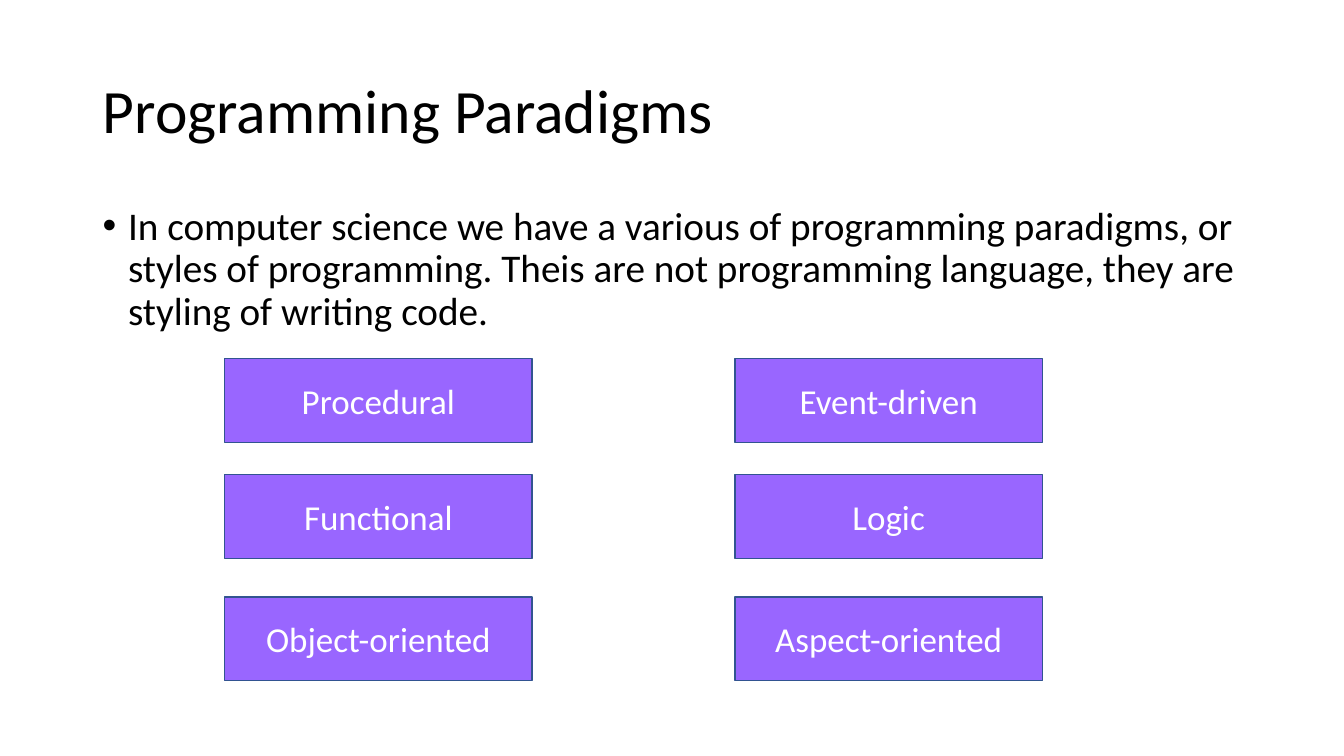
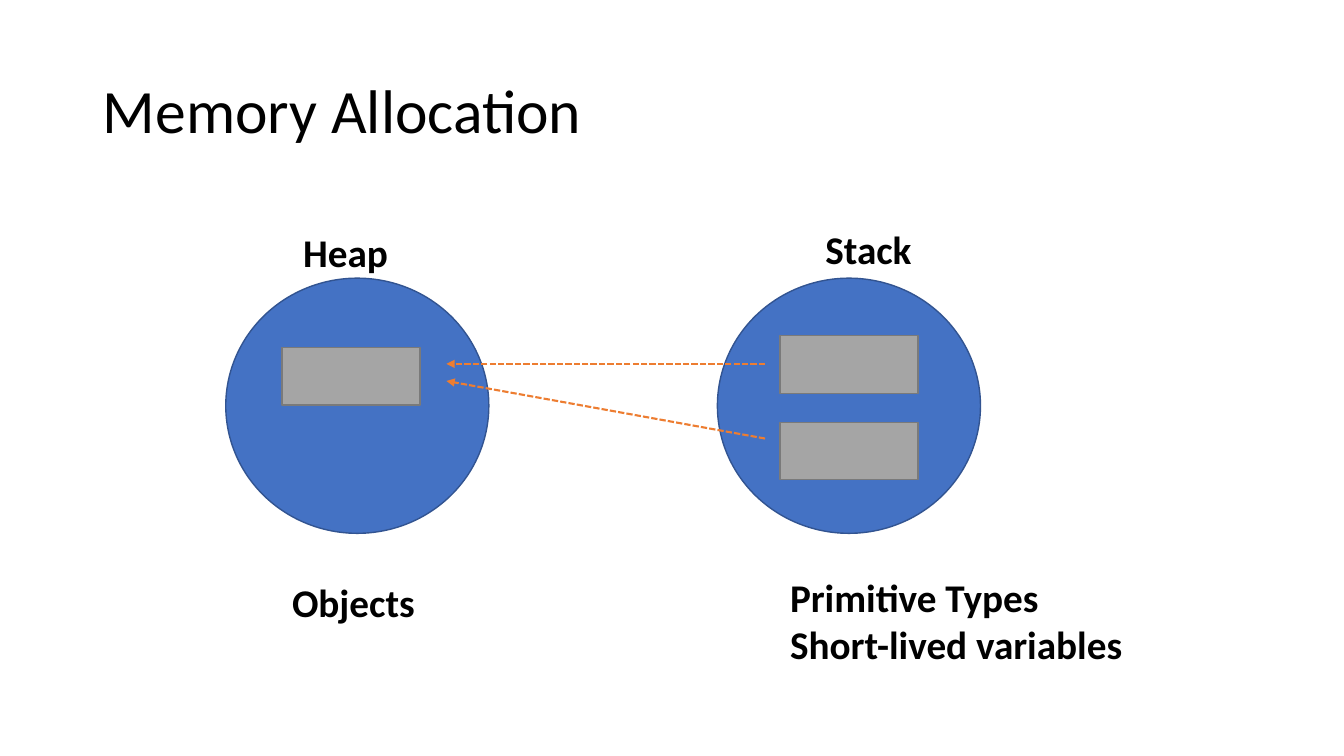
from lxml.etree import SubElement
from pptx import Presentation
from pptx.dml.color import RGBColor
from pptx.enum.dml import MSO_LINE
from pptx.enum.shapes import MSO_CONNECTOR, MSO_SHAPE
from pptx.enum.text import MSO_ANCHOR, MSO_AUTO_SIZE, PP_ALIGN
from pptx.oxml.ns import qn
from pptx.util import Cm, Pt

# Shared look
FONT = "Calibri"
BLACK, WHITE = "000000", "FFFFFF"
PURPLE, BLUE, NAVY = "9966FF", "4472C4", "325491"
GREY, DARK_GREY, ORANGE = "A5A5A5", "7A7A7A", "ED7D31"
TITLE_ONLY = 5
MARGIN, CONTENT_WIDTH = 2.34, 29.21


def color(hex_value):
    return RGBColor.from_string(hex_value)


def set_attributes(target, values):
    for name, value in values.items():
        setattr(target, name, value)


def place(shape, left, top, width, height):
    set_attributes(shape, {"left": Cm(left), "top": Cm(top),
                           "width": Cm(width), "height": Cm(height)})


def write(paragraph, text, size, text_color=BLACK, bold=False):
    run = paragraph.add_run()
    run.text = text
    set_attributes(run.font, {"name": FONT, "size": Pt(size), "bold": bold})
    run.font.color.rgb = color(text_color)


def add_titled_slide(presentation, title):
    slide = presentation.slides.add_slide(presentation.slide_layouts[TITLE_ONLY])
    shape = slide.shapes.title
    place(shape, MARGIN, 1.02, CONTENT_WIDTH, 3.68)
    set_attributes(shape.text_frame, {"word_wrap": True,
                                      "auto_size": MSO_AUTO_SIZE.NONE,
                                      "vertical_anchor": MSO_ANCHOR.MIDDLE})
    paragraph = shape.text_frame.paragraphs[0]
    set_attributes(paragraph, {"alignment": PP_ALIGN.LEFT, "line_spacing": 0.9})
    write(paragraph, title, 44)
    return slide


def add_text_frame(slide, left, top, width, height):
    box = slide.shapes.add_textbox(Cm(left), Cm(top), Cm(width), Cm(height))
    box.text_frame.word_wrap = True
    return box.text_frame


def add_bullet(slide, text, *area):
    paragraph = add_text_frame(slide, *area).paragraphs[0]
    properties = paragraph._p.get_or_add_pPr()
    indent = Cm(0.64)
    properties.set("marL", str(indent))
    properties.set("indent", str(-indent))
    SubElement(properties, qn("a:buFont"), typeface="Arial")
    SubElement(properties, qn("a:buChar"), char="•")
    paragraph.line_spacing = 0.9
    write(paragraph, text, 28)


def add_label(slide, lines, *area):
    frame = add_text_frame(slide, *area)
    for index, line in enumerate(lines):
        paragraph = frame.add_paragraph() if index else frame.paragraphs[0]
        write(paragraph, line, 28, bold=True)


def add_figure(slide, kind, fill, outline, left, top, width, height):
    shape = slide.shapes.add_shape(kind, Cm(left), Cm(top), Cm(width), Cm(height))
    shape.shadow.inherit = False
    shape.fill.solid()
    shape.fill.fore_color.rgb = color(fill)
    shape.line.color.rgb = color(outline)
    shape.line.width = Pt(1)
    return shape


def add_named_box(slide, text, *area):
    shape = add_figure(slide, MSO_SHAPE.RECTANGLE, PURPLE, NAVY, *area)
    shape.text_frame.vertical_anchor = MSO_ANCHOR.MIDDLE
    paragraph = shape.text_frame.paragraphs[0]
    paragraph.alignment = PP_ALIGN.CENTER
    write(paragraph, text, 25, WHITE)


def add_dashed_arrow(slide, start, end):
    arrow = slide.shapes.add_connector(
        MSO_CONNECTOR.STRAIGHT, *(Cm(value) for value in (*start, *end)))
    arrow.line.color.rgb = color(ORANGE)
    set_attributes(arrow.line, {"width": Pt(1.5),
                                "dash_style": MSO_LINE.SQUARE_DOT})
    SubElement(arrow.line._get_or_add_ln(), qn("a:tailEnd"), type="triangle")
    SubElement(arrow._element.spPr, qn("a:effectLst"))


def build_paradigms(presentation):
    slide = add_titled_slide(presentation, "Programming Paradigms")
    add_bullet(slide, "In computer science we have a various of programming "
               "paradigms, or styles of programming. Theis are not programming "
               "language, they are styling of writing code.",
               MARGIN, 5.08, CONTENT_WIDTH, 12.09)

    # Grid of paradigms, one list per column
    columns = {5.66: ("Procedural", "Functional", "Object-oriented"),
               18.52: ("Event-driven", "Logic", "Aspect-oriented")}
    row_tops = (9.04, 11.96, 15.04)
    for left, names in columns.items():
        for top, name in zip(row_tops, names):
            add_named_box(slide, name, left, top, 7.75, 2.11)


def build_memory(presentation):
    slide = add_titled_slide(presentation, "Memory Allocation")

    # Heap and stack with their memory cells
    for left in (5.69, 18.08):
        add_figure(slide, MSO_SHAPE.OVAL, BLUE, NAVY, left, 7.01, 6.63, 6.43)
    for left, top in ((7.11, 8.76), (19.66, 8.46), (19.66, 10.64)):
        add_figure(slide, MSO_SHAPE.RECTANGLE, GREY, DARK_GREY,
                   left, top, 3.48, 1.45)

    # Names above, contents below
    add_label(slide, ["Heap"], 7.39, 5.64, 5.18, 1.45)
    add_label(slide, ["Stack"], 20.55, 5.56, 5.18, 1.45)
    add_label(slide, ["Objects"], 7.11, 14.45, 5.18, 1.45)
    add_label(slide, ["Primitive Types", "Short-lived variables"],
              19.66, 14.33, 9.83, 2.64)

    # References from the stack to the heap
    for start_y, end_y in ((9.17, 9.17), (11.05, 9.6)):
        add_dashed_arrow(slide, (19.28, start_y), (11.25, end_y))


def main():
    presentation = Presentation()
    set_attributes(presentation, {"slide_width": Cm(33.87),
                                  "slide_height": Cm(19.05)})
    build_paradigms(presentation)
    build_memory(presentation)
    presentation.save("out.pptx")


if __name__ == "__main__":
    main()
